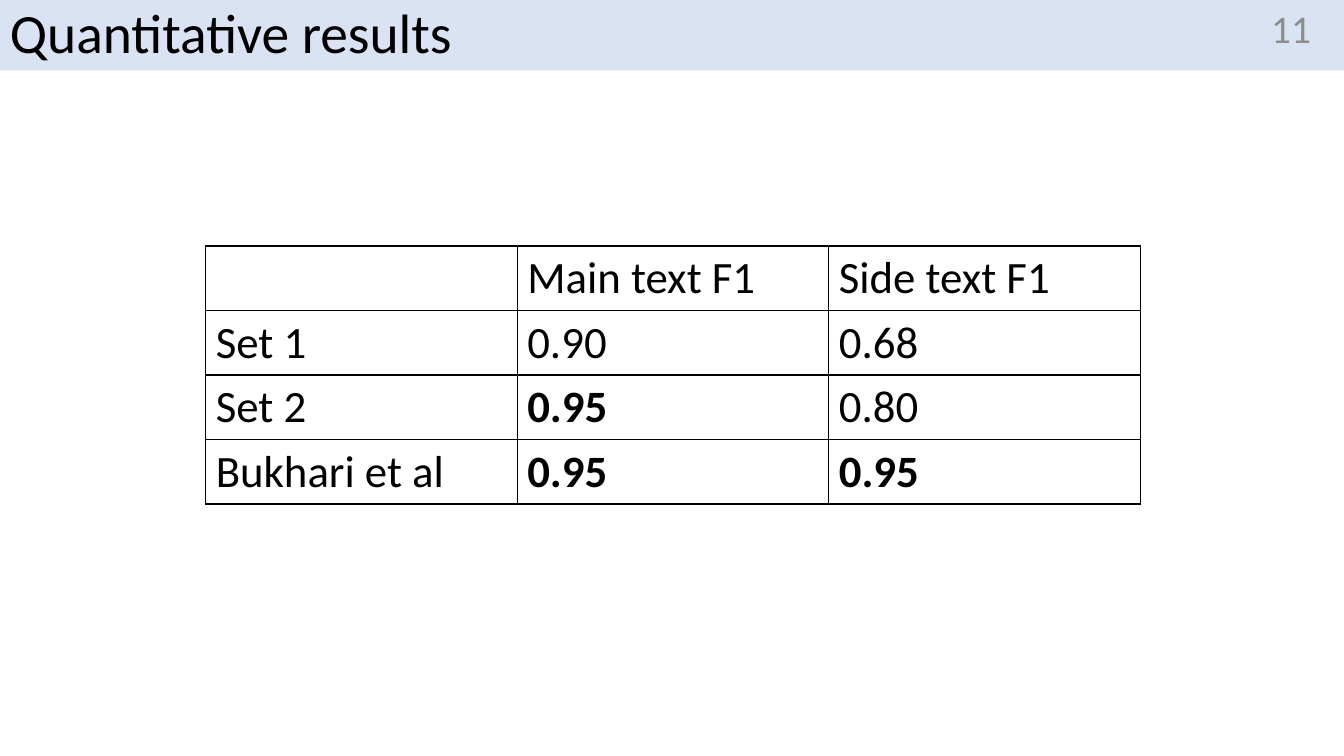
"""Build the quantitative results slide with its table of F1 scores."""
from typing import NamedTuple

from lxml.etree import SubElement
from pptx import Presentation
from pptx.dml.color import RGBColor
from pptx.enum.shapes import MSO_SHAPE
from pptx.enum.text import MSO_ANCHOR, PP_ALIGN
from pptx.oxml.ns import qn
from pptx.util import Inches, Pt

BLACK, GREY, BAND, WHITE = "000000", "8C8C8C", "DAE3F3", "FFFFFF"
COL_W, ROW_H = 3.09, 0.64


class Entry(NamedTuple):
    text: str
    bold: bool = False


ROWS = [
    [Entry(""), Entry("Main text F1"), Entry("Side text F1")],
    [Entry("Set 1"), Entry("0.90"), Entry("0.68")],
    [Entry("Set 2"), Entry("0.95", True), Entry("0.80")],
    [Entry("Bukhari et al"), Entry("0.95", True), Entry("0.95", True)],
]


def rgb(color: str) -> RGBColor:
    return RGBColor.from_string(color)


def add_run(p, text: str, size: float, color: str = BLACK, bold: bool = False) -> None:
    r = p.add_run()
    r.text = text
    r.font.name = "Calibri"
    r.font.size = Pt(size)
    r.font.bold = bold
    r.font.color.rgb = rgb(color)


def add_borders(cell) -> None:
    tc_pr = cell._tc.get_or_add_tcPr()
    for side in ("a:lnL", "a:lnR", "a:lnT", "a:lnB"):
        ln = SubElement(tc_pr, qn(side), w=str(Pt(1)))
        fill = SubElement(ln, qn("a:solidFill"))
        SubElement(fill, qn("a:srgbClr"), val=BLACK)


def add_title(s) -> None:
    sp = s.shapes.add_shape(MSO_SHAPE.RECTANGLE, 0, 0, Inches(13.33), Inches(0.7))
    sp.shadow.inherit = False
    sp.fill.solid()
    sp.fill.fore_color.rgb = rgb(BAND)
    sp.line.fill.background()
    tf = sp.text_frame
    tf.word_wrap = True
    tf.vertical_anchor = MSO_ANCHOR.MIDDLE
    p = tf.paragraphs[0]
    p.alignment = PP_ALIGN.LEFT
    p.line_spacing = 0.9
    add_run(p, "Quantitative results", 39.6)


def add_page_number(s) -> None:
    sp = s.shapes.add_textbox(Inches(10.1), Inches(0.08), Inches(3), Inches(0.4))
    tf = sp.text_frame
    tf.word_wrap = True
    tf.vertical_anchor = MSO_ANCHOR.MIDDLE
    p = tf.paragraphs[0]
    p.alignment = PP_ALIGN.RIGHT
    add_run(p, "11", 28, GREY)


def add_scores(s) -> None:
    n_rows, n_cols = len(ROWS), len(ROWS[0])
    table = s.shapes.add_table(
        n_rows, n_cols, Inches(2.04), Inches(2.44),
        Inches(n_cols * COL_W), Inches(n_rows * ROW_H),
    ).table
    table.first_row = False
    table.horz_banding = False
    for column in table.columns:
        column.width = Inches(COL_W)
    for i, entries in enumerate(ROWS):
        table.rows[i].height = Inches(ROW_H)
        for j, entry in enumerate(entries):
            cell = table.cell(i, j)
            add_borders(cell)
            cell.fill.solid()
            cell.fill.fore_color.rgb = rgb(WHITE)
            if entry.text:
                add_run(cell.text_frame.paragraphs[0], entry.text, 32, bold=entry.bold)


def main() -> None:
    prs = Presentation()
    prs.slide_width, prs.slide_height = Inches(13.33), Inches(7.5)
    s = prs.slides.add_slide(prs.slide_layouts[6])
    add_title(s)
    add_page_number(s)
    add_scores(s)
    prs.save("out.pptx")


if __name__ == "__main__":
    main()
